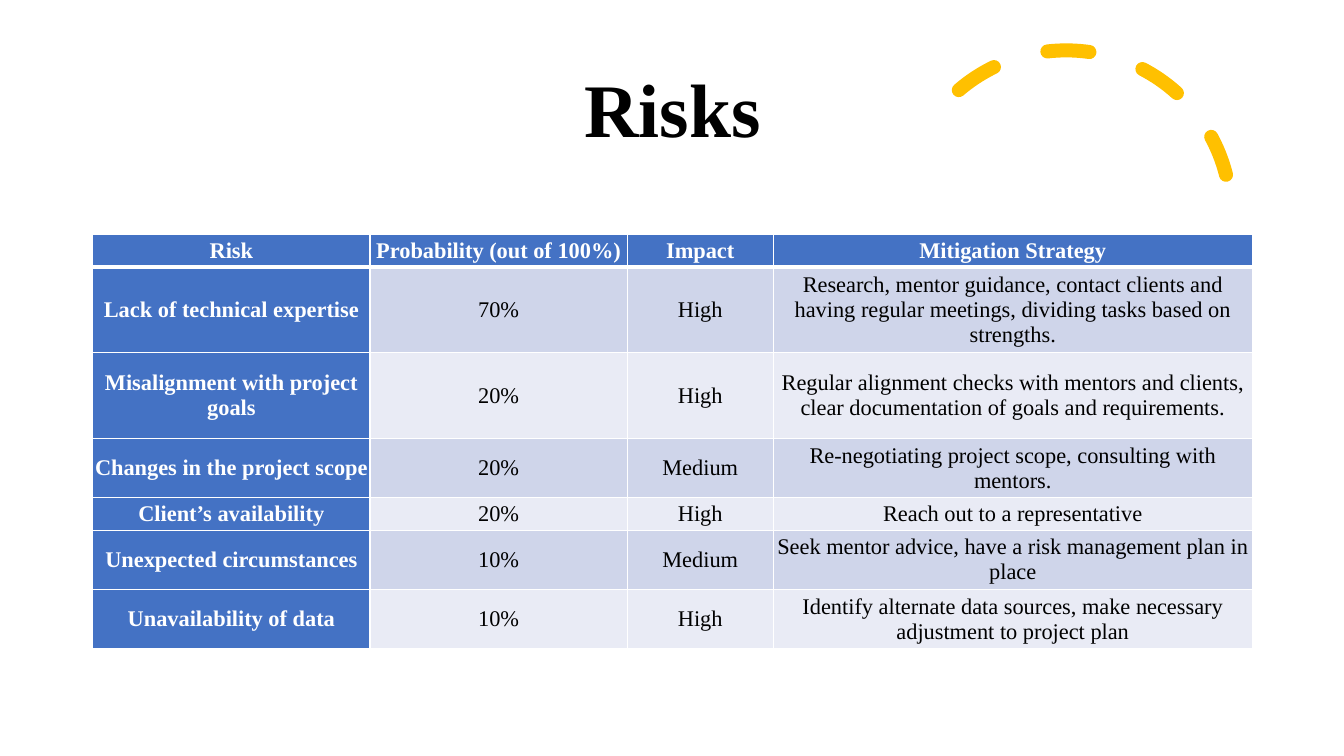
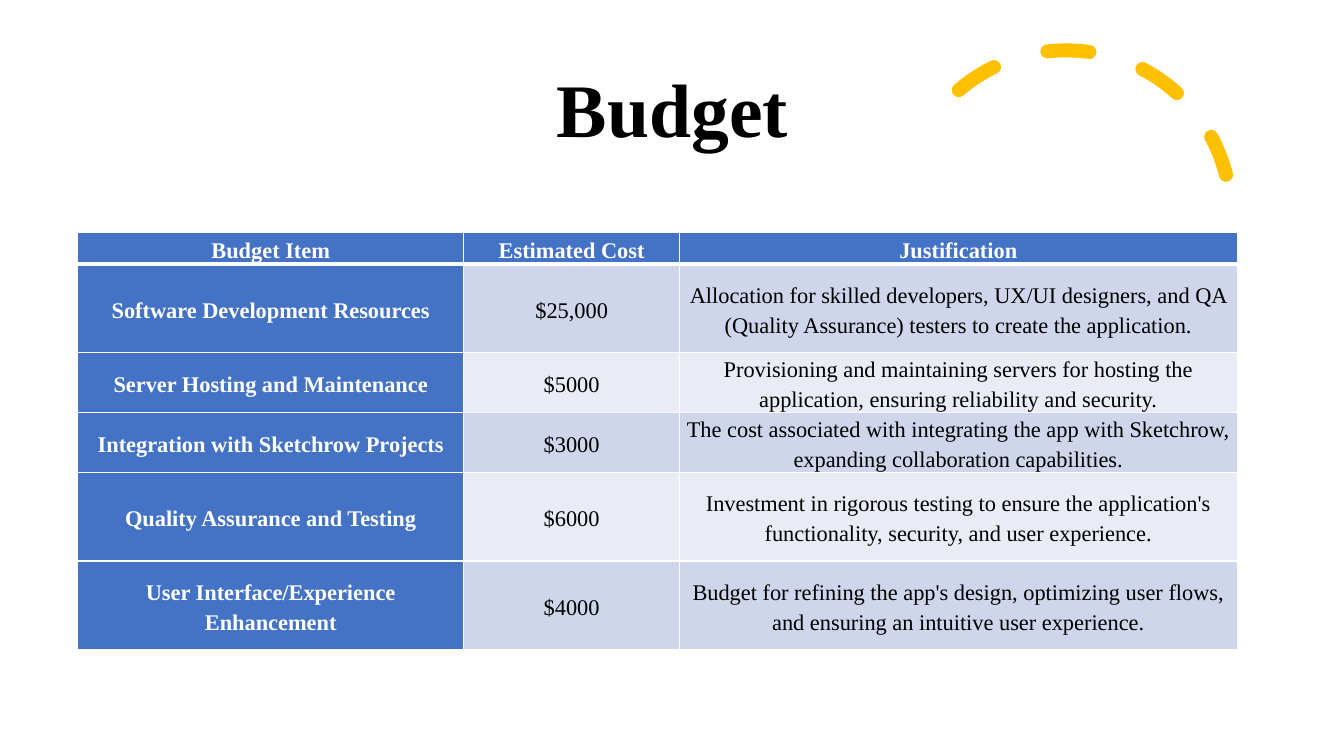
from lxml import etree
from pptx import Presentation, util as u
from pptx.dml.color import RGBColor
from pptx.enum import dml, shapes, text
from pptx.oxml.ns import qn

# Content
RISKS = [
    ("Risk", "Probability (out of 100%)", "Impact", "Mitigation Strategy"),
    ("Lack of technical expertise", "70%", "High",
     "Research, mentor guidance, contact clients and having regular meetings, "
     "dividing tasks based on strengths."),
    ("Misalignment with project goals", "20%", "High",
     "Regular alignment checks with mentors and clients, "
     "clear documentation of goals and requirements."),
    ("Changes in the project scope", "20%", "Medium",
     "Re-negotiating project scope, consulting with mentors."),
    ("Client’s availability", "20%", "High", "Reach out to a representative"),
    ("Unexpected circumstances", "10%", "Medium",
     "Seek mentor advice, have a risk management plan in place"),
    ("Unavailability of data", "10%", "High",
     "Identify alternate data sources, make necessary adjustment to project plan"),
]
BUDGET = [
    ("Budget Item", "Estimated Cost", "Justification"),
    ("Software Development Resources", "$25,000",
     "Allocation for skilled developers, UX/UI designers, and QA "
     "(Quality Assurance) testers to create the application."),
    ("Server Hosting and Maintenance", "$5000",
     "Provisioning and maintaining servers for hosting the application, "
     "ensuring reliability and security."),
    ("Integration with Sketchrow Projects", "$3000",
     "The cost associated with integrating the app with Sketchrow, "
     "expanding collaboration capabilities."),
    ("Quality Assurance and Testing", "$6000",
     "Investment in rigorous testing to ensure the application's "
     "functionality, security, and user experience."),
    ("User Interface/Experience Enhancement", "$4000",
     "Budget for refining the app's design, optimizing user flows, "
     "and ensuring an intuitive user experience."),
]
SLIDES = [
    dict(title="Risks", rows=RISKS, corner=(0.92, 2.33), spacing=1.0,
         widths=(2.75, 2.55, 1.45, 4.75), margins=(0.01, 0.01),
         heights=(0.32, 0.85, 0.85, 0.59, 0.32, 0.59, 0.59)),
    dict(title="Budget", rows=BUDGET, corner=(0.77, 2.31), spacing=1.2,
         widths=(3.83, 2.14, 5.53), margins=(0.07, 0),
         heights=(0.31, 0.88, 0.58, 0.58, 0.88, 0.88)),
]

# Shared style
COLORS = {"heading": "4472C4", "odd": "CFD5EA", "even": "E9EBF5",
          "white": "FFFFFF", "black": "000000", "accent": "FFC000"}
FONT = "Times New Roman"


def rgb(name):
    return RGBColor.from_string(COLORS[name])


def format_paragraph(paragraph, size, color, bold, spacing):
    paragraph.alignment = text.PP_ALIGN.CENTER
    paragraph.line_spacing = spacing
    font = paragraph.font
    font.name, font.size, font.bold = FONT, u.Pt(size), bold
    font.color.rgb = rgb(color)


def add_title(slide, words):
    title = slide.shapes.title
    title.left, title.top, title.width, title.height = map(
        u.Inches, (0.92, 0.4, 11.5, 1.45))
    title.text_frame.text = words
    title.text_frame.vertical_anchor = text.MSO_ANCHOR.MIDDLE
    format_paragraph(title.text_frame.paragraphs[0], 54, "black", True, 0.9)


def add_dashed_arc(slide):
    arc = slide.shapes.add_shape(
        shapes.MSO_SHAPE.ARC, *map(u.Inches, (8.94, 0.5, 3.27, 3.27)))
    arc.adjustments[0], arc.adjustments[1] = 146.13, 0
    arc.rotation = 345.8
    arc.shadow.inherit = False
    arc.fill.background()
    arc.line.color.rgb = rgb("accent")
    arc.line.width = u.Pt(10)
    arc.line.dash_style = dml.MSO_LINE.DASH
    arc.line._get_or_add_ln().set("cap", "rnd")


def add_borders(cell, row):
    """White rules, thicker between the header and the first row."""
    points = {"L": 1, "R": 1, "T": 3 if row == 1 else 1, "B": 3 if row == 0 else 1}
    properties = cell._tc.get_or_add_tcPr()
    for side, width in points.items():
        line = etree.SubElement(properties, qn(f"a:ln{side}"), w=str(u.Pt(width)))
        fill = etree.SubElement(line, qn("a:solidFill"))
        etree.SubElement(fill, qn("a:srgbClr"), val=COLORS["white"])


def add_grid(slide, rows, corner, widths, heights, margins, spacing):
    frame = slide.shapes.add_table(
        len(rows), len(widths),
        *map(u.Inches, (*corner, sum(widths), sum(heights))))
    table = frame.table
    table.first_col = True
    for column, width in zip(table.columns, widths):
        column.width = u.Inches(width)
    for r, (row, height) in enumerate(zip(rows, heights)):
        table.rows[r].height = u.Inches(height)
        for c, words in enumerate(row):
            cell = table.cell(r, c)
            heading = r == 0 or c == 0
            cell.text = words
            cell.vertical_anchor = text.MSO_ANCHOR.MIDDLE
            cell.margin_left = cell.margin_right = u.Inches(margins[0])
            cell.margin_top = cell.margin_bottom = u.Inches(margins[1])
            add_borders(cell, r)
            cell.fill.solid()
            cell.fill.fore_color.rgb = rgb(
                "heading" if heading else "odd" if r % 2 else "even")
            format_paragraph(cell.text_frame.paragraphs[0], 16,
                             "white" if heading else "black", heading, spacing)


def main():
    deck = Presentation()
    deck.slide_width, deck.slide_height = u.Inches(13.33), u.Inches(7.5)
    title_only = deck.slide_layouts[5]
    for content in SLIDES:
        slide = deck.slides.add_slide(title_only)
        add_dashed_arc(slide)
        add_title(slide, content["title"])
        add_grid(slide, **{key: value for key, value in content.items()
                           if key != "title"})
    deck.save("out.pptx")


if __name__ == "__main__":
    main()
